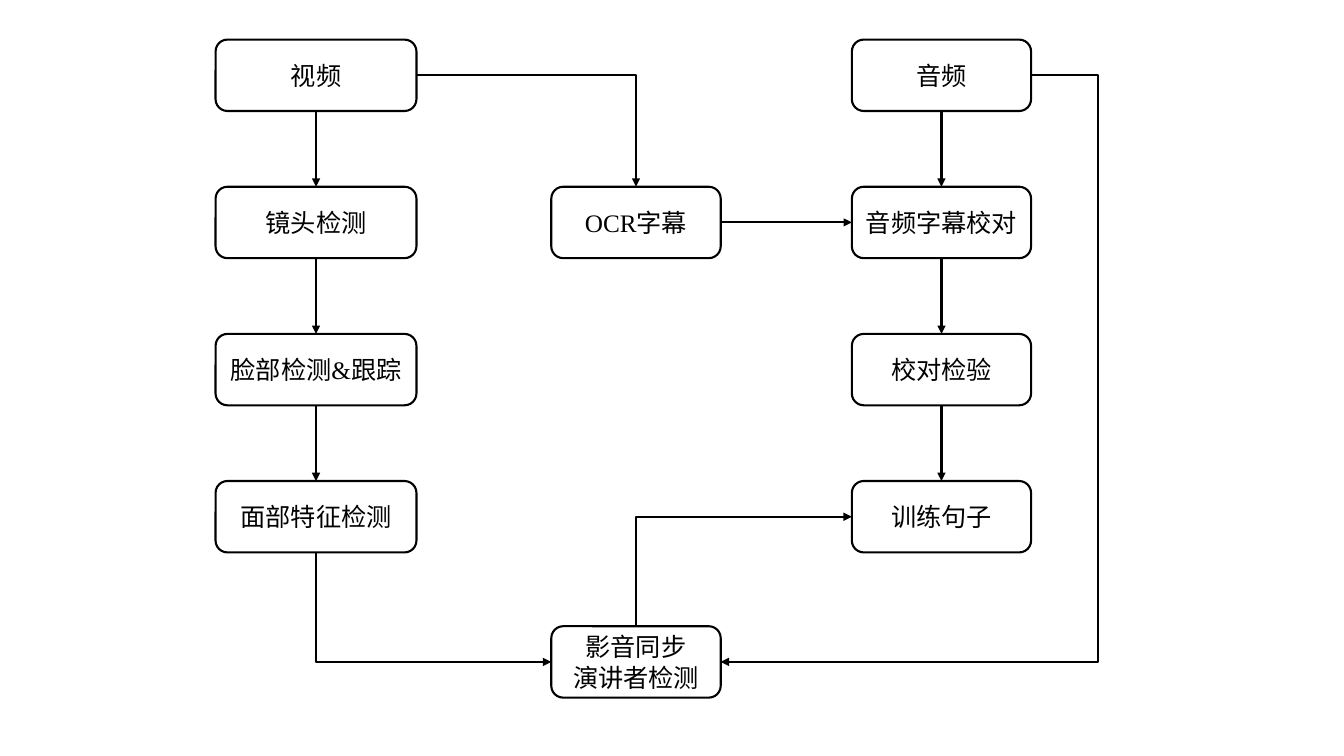
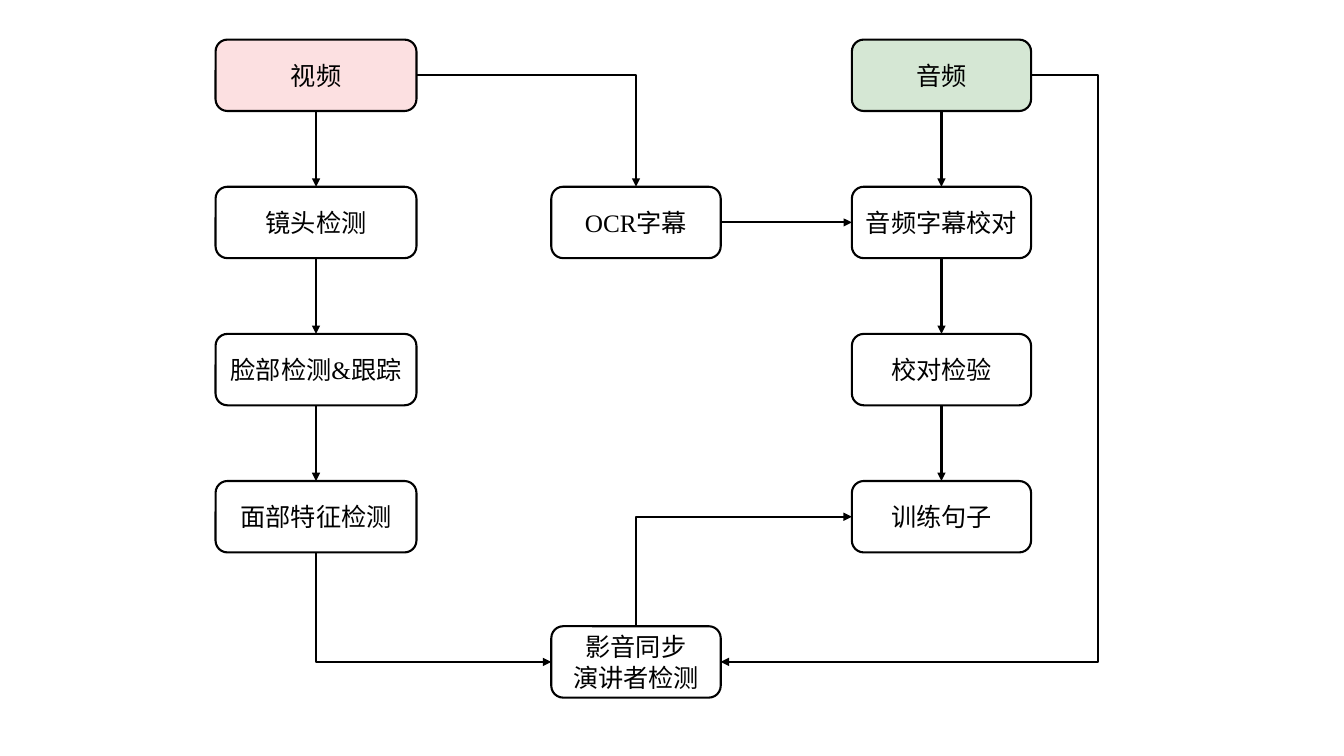
"""Two flowcharts of an audio-visual training pipeline, plain and with coloured inputs."""
from dataclasses import dataclass

from lxml.etree import SubElement
from pptx import Presentation
from pptx.dml.color import RGBColor
from pptx.enum.shapes import MSO_CONNECTOR, MSO_SHAPE
from pptx.enum.text import MSO_ANCHOR, PP_ALIGN
from pptx.oxml.ns import qn
from pptx.util import Pt


@dataclass(frozen=True)
class Theme:
    ink: RGBColor = RGBColor(0, 0, 0)
    video: RGBColor = RGBColor(0xFC, 0xE0, 0xE1)
    audio: RGBColor = RGBColor(0xD5, 0xE7, 0xD4)
    font: str = "Times New Roman"
    size: float = 18
    line: float = 1.5


T = Theme()
TOP, PITCH, BOX_H, SYNC_TOP, DETOUR = 28.3, 105.1, 51, 447.3, 48
TOP_SIDE, LEFT, BOTTOM, RIGHT = range(4)
COLUMNS = {
    "video": (154, 143.5),
    "middle": (393.8, 121),
    "audio": (608.5, 128),
}
ROWS = [TOP + i * PITCH for i in range(4)]
BOXES = {
    "video": ("视频", "video", ROWS[0]),
    "shots": ("镜头检测", "video", ROWS[1]),
    "faces": ("脸部检测&跟踪", "video", ROWS[2]),
    "features": ("面部特征检测", "video", ROWS[3]),
    "ocr": ("OCR字幕", "middle", ROWS[1]),
    "sync": ("影音同步\n演讲者检测", "middle", SYNC_TOP),
    "audio": ("音频", "audio", ROWS[0]),
    "align": ("音频字幕校对", "audio", ROWS[1]),
    "verify": ("校对检验", "audio", ROWS[2]),
    "sentences": ("训练句子", "audio", ROWS[3]),
}
CHAINS = [
    ("video", "shots", "faces", "features"),
    ("audio", "align", "verify", "sentences"),
]
CORNERS = [
    ("video", RIGHT, "ocr", TOP_SIDE, "tailEnd"),
    ("sync", LEFT, "features", BOTTOM, "headEnd"),
    ("sentences", LEFT, "sync", TOP_SIDE, "headEnd"),
]
SLIDE_FILLS = [{}, {"video": T.video, "audio": T.audio}]


def add_box(s, text, column, top, fill):
    left, width = COLUMNS[column]
    sp = s.shapes.add_shape(MSO_SHAPE.ROUNDED_RECTANGLE, Pt(left), Pt(top), Pt(width), Pt(BOX_H))
    sp.shadow.inherit = False
    if fill is None:
        sp.fill.background()
    else:
        sp.fill.solid()
        sp.fill.fore_color.rgb = fill
    sp.line.color.rgb = T.ink
    sp.line.width = Pt(T.line)
    tf = sp.text_frame
    tf.word_wrap = True
    tf.vertical_anchor = MSO_ANCHOR.MIDDLE
    tf.text = text
    for p in tf.paragraphs:
        p.alignment = PP_ALIGN.CENTER
        p.font.name = T.font
        p.font.size = Pt(T.size)
        p.font.color.rgb = T.ink
    return sp


def add_arrow(s, kind, start, start_side, end, end_side, arrow_end="tailEnd"):
    cx = s.shapes.add_connector(kind, 0, 0, 0, 0)
    cx.begin_connect(start, start_side)
    cx.end_connect(end, end_side)
    cx.line.color.rgb = T.ink
    cx.line.width = Pt(T.line)
    props = cx._element.spPr
    SubElement(props.find(qn("a:ln")), qn("a:" + arrow_end), type="triangle")
    SubElement(props, qn("a:effectLst"))
    return cx


prs = Presentation()
prs.slide_width, prs.slide_height = Pt(960), Pt(540)

for fills in SLIDE_FILLS:
    s = prs.slides.add_slide(prs.slide_layouts[6])
    box = {name: add_box(s, *spec, fills.get(name)) for name, spec in BOXES.items()}

    for chain in CHAINS:
        for a, b in zip(chain, chain[1:]):
            add_arrow(s, MSO_CONNECTOR.STRAIGHT, box[a], BOTTOM, box[b], TOP_SIDE)
    add_arrow(s, MSO_CONNECTOR.STRAIGHT, box["ocr"], RIGHT, box["align"], LEFT)

    for a, a_side, b, b_side, arrow_end in CORNERS:
        cx = add_arrow(s, MSO_CONNECTOR.ELBOW, box[a], a_side, box[b], b_side, arrow_end)
        cx._element.spPr.find(qn("a:prstGeom")).set("prst", "bentConnector2")

    cx = add_arrow(s, MSO_CONNECTOR.ELBOW, box["audio"], RIGHT, box["sync"], RIGHT)
    guides = cx._element.spPr.find(qn("a:prstGeom")).get_or_add_avLst()
    bend = round(-100000 * Pt(DETOUR) / cx.width)
    SubElement(guides, qn("a:gd"), name="adj1", fmla=f"val {bend}")

prs.save("out.pptx")
